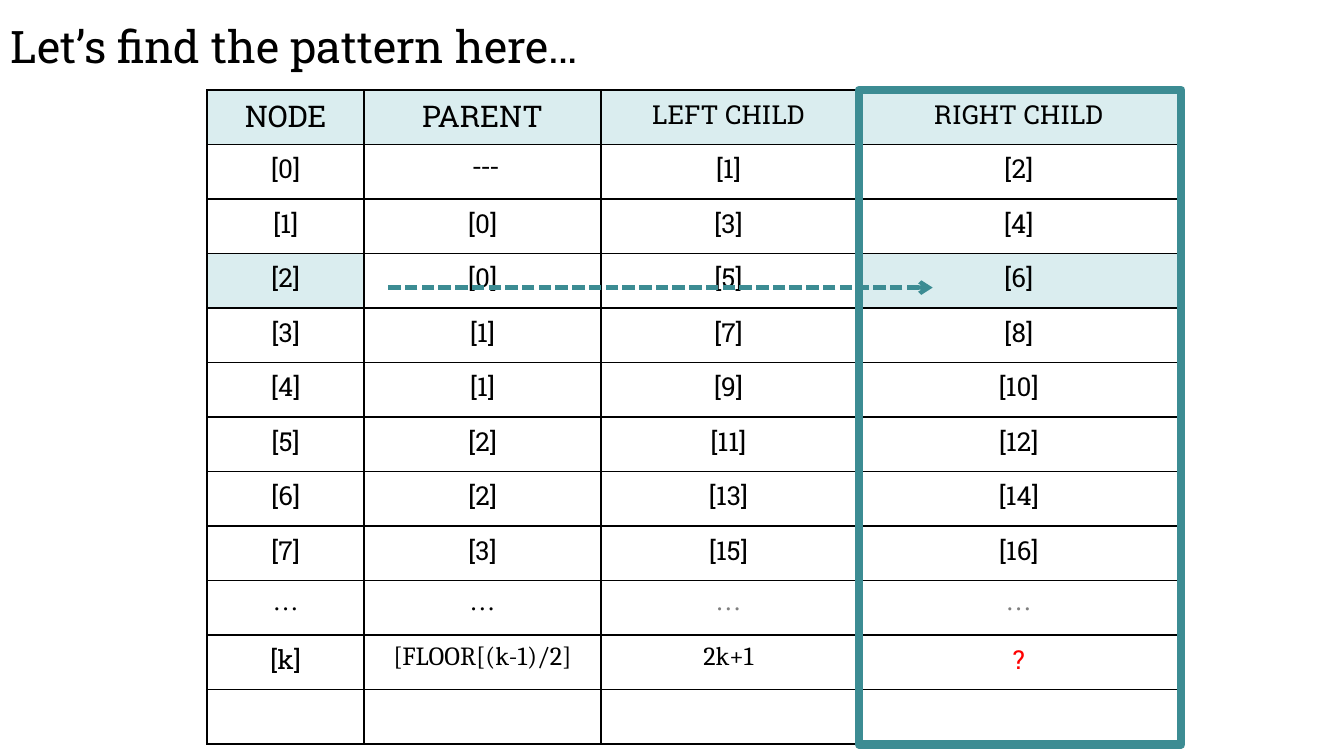
from lxml.etree import SubElement as Sub
from pptx import Presentation
from pptx.dml.color import RGBColor as Rgb
from pptx.enum.dml import MSO_LINE as Dash
from pptx.enum.shapes import MSO_CONNECTOR as Link, MSO_SHAPE as Shape
from pptx.enum.text import MSO_ANCHOR as Anchor, MSO_AUTO_SIZE as Fit, PP_ALIGN as Align
from pptx.oxml.ns import qn
from pptx.util import Inches, Pt

COLORS = {"black": "000000", "white": "FFFFFF", "pale": "DAEDEF",
          "teal": "3C8C93", "gray": "7F7F7F", "red": "FF0000"}
SLAB, TIMES, CAMBRIA = "Roboto Slab", "Times New Roman", "Cambria"
WIDTHS = [1.17, 1.76, 1.9, 2.42]
LEFT, TOP, HEIGHT = 1.54, 0.67, 4.87
HEADS = ["NODE", "PARENT", "LEFT CHILD", "RIGHT CHILD"]
NODES = 8
PALE = {(0, 0), (0, 1), (0, 2), (0, 3), (3, 0), (3, 3)}
DOTS, RULE = NODES + 1, NODES + 2
FACES = {(1, 1): TIMES, (RULE, 1): CAMBRIA, (RULE, 2): CAMBRIA,
         **{(DOTS, col): TIMES for col in range(4)}}
INKS = {(DOTS, 2): "gray", (DOTS, 3): "gray", (RULE, 3): "red"}
SIZES = {(0, 0): 16, (0, 1): 16}


def color(name):
    return Rgb.from_string(COLORS[name])


def style(para, size, face=SLAB, ink="black"):
    font = para.font
    font.size = Pt(size)
    font.name = face
    font.color.rgb = color(ink)


def stroke(line, width):
    line.color.rgb = color("teal")
    line.width = Pt(width)


def border(cell):
    props = cell._tc.get_or_add_tcPr()
    for spot, side in enumerate(("lnL", "lnR", "lnT", "lnB")):
        edge = props.makeelement(qn("a:" + side), {"w": str(Pt(1))})
        fill = Sub(edge, qn("a:solidFill"))
        Sub(fill, qn("a:srgbClr"), val=COLORS["black"])
        props.insert(spot, edge)


def add_title(slide, text):
    title = slide.shapes.title
    title.left, title.top = Inches(-0.02), Inches(0.09)
    title.width, title.height = Inches(4.51), Inches(0.5)
    frame = title.text_frame
    frame.text = text
    frame.word_wrap = False
    frame.auto_size = Fit.SHAPE_TO_FIT_TEXT
    frame.vertical_anchor = Anchor.TOP
    para = frame.paragraphs[0]
    para.alignment = Align.LEFT
    para.line_spacing = 1.0
    para.space_before = Pt(0)
    style(para, 24)


def get_rows():
    rows = [HEADS]
    for node in range(NODES):
        links = [(node - 1) // 2, 2 * node + 1, 2 * node + 2]
        rows.append([f"[{num}]" for num in [node] + links])
    rows[1][1] = " ---"
    rows.append(["…"] * 4)
    rows.append(["[k]", "[FLOOR[(k-1)/2]", "2k+1", "?"])
    rows.append([""] * 4)
    return rows


def add_grid(slide, rows):
    frame = slide.shapes.add_table(len(rows), len(WIDTHS), Inches(LEFT), Inches(TOP),
                                   Inches(sum(WIDTHS)), Inches(HEIGHT))
    table = frame.table
    for col, width in zip(table.columns, WIDTHS):
        col.width = Inches(width)
    for row in table.rows:
        row.height = Inches(HEIGHT / len(rows))
    for y, row in enumerate(rows):
        for x, text in enumerate(row):
            spot = y, x
            cell = table.cell(y, x)
            cell.text = text
            cell.fill.solid()
            cell.fill.fore_color.rgb = color("pale" if spot in PALE else "white")
            para = cell.text_frame.paragraphs[0]
            para.alignment = Align.CENTER
            style(para, SIZES.get(spot, 14), FACES.get(spot, SLAB), INKS.get(spot, "black"))
            border(cell)


def add_frame(slide):
    box = slide.shapes.add_shape(Shape.RECTANGLE, Inches(6.39), Inches(TOP),
                                 Inches(2.4), Inches(HEIGHT))
    box.shadow.inherit = False
    box.fill.background()
    stroke(box.line, 4.5)


def add_arrow(slide, tip, end, y):
    arrow = slide.shapes.add_connector(Link.STRAIGHT, Inches(tip), Inches(y),
                                       Inches(end), Inches(y))
    stroke(arrow.line, 2.25)
    arrow.line.dash_style = Dash.SQUARE_DOT
    props = arrow._element.spPr
    Sub(props.find(qn("a:ln")), qn("a:headEnd"), type="arrow")
    Sub(props, qn("a:effectLst"))


def main():
    deck = Presentation()
    deck.slide_width, deck.slide_height = Inches(10), Inches(10 * 9 / 16)
    slide = deck.slides.add_slide(deck.slide_layouts[5])
    add_title(slide, "Let’s find the pattern here…")
    add_grid(slide, get_rows())
    add_frame(slide)
    add_arrow(slide, 6.94, 2.86, 2.14)
    deck.save("out.pptx")


main()
